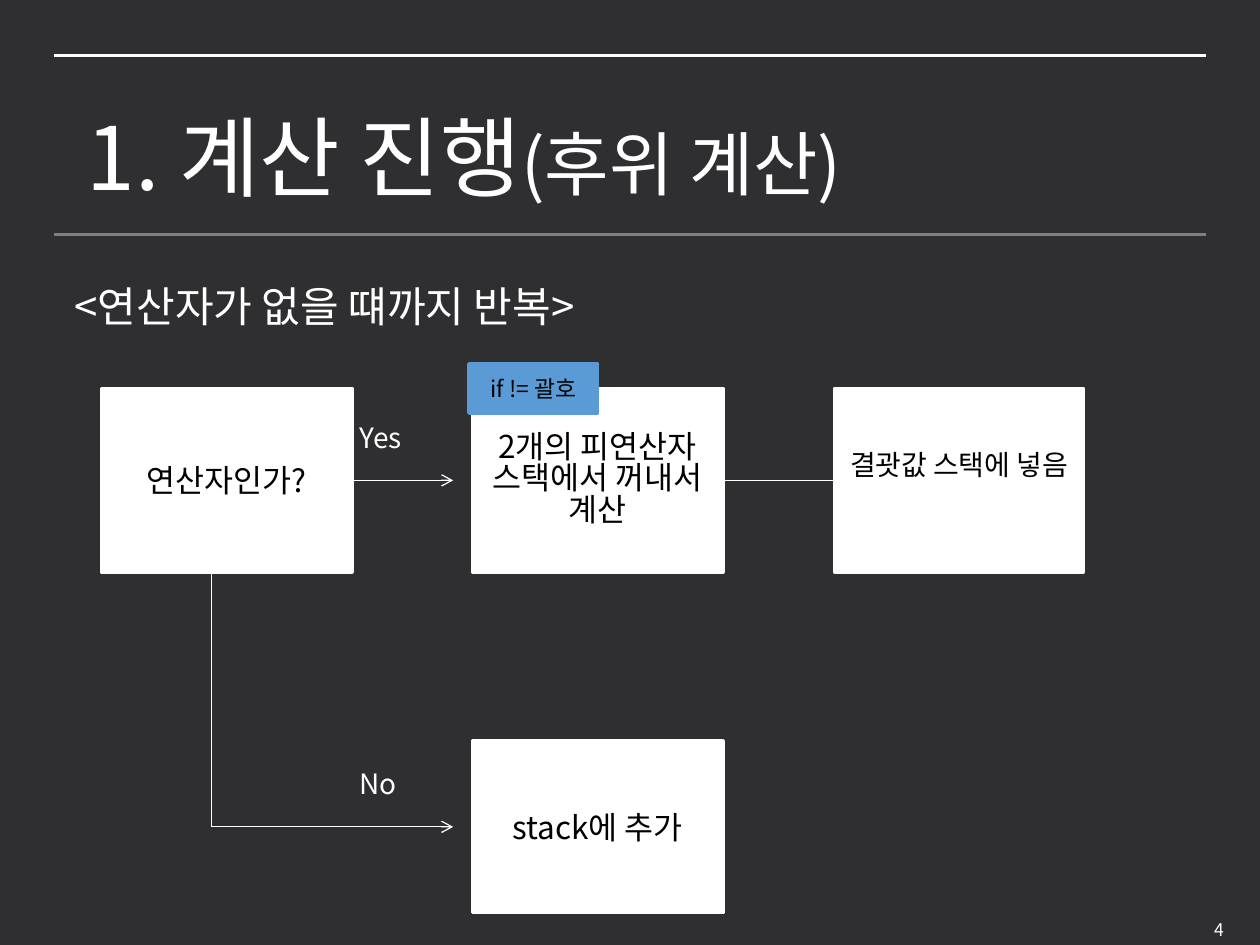
from pptx import Presentation
from pptx.dml.color import RGBColor
from pptx.enum.shapes import MSO_CONNECTOR as LINK, MSO_SHAPE as SHAPE
from pptx.enum.text import MSO_ANCHOR as ANCHOR, PP_ALIGN as ALIGN
from pptx.oxml.ns import qn
from pptx.util import Pt
from lxml.etree import SubElement

FONT = "Noto Sans CJK KR"
WHITE, BLACK, DARK, GRAY, BLUE = "FFFFFF", "000000", "2F2F31", "808080", "5B9BD5"


def paint(target, color):
    if hasattr(target, "solid"):
        target.solid()
        target = target.fore_color
    target.rgb = RGBColor.from_string(color)


def write(paragraph, text, size, color):
    run = paragraph.add_run()
    run.text = text
    run.font.size = Pt(size)
    run.font.name = FONT
    paint(run.font.color, color)
    east_asian = SubElement(run._r.get_or_add_rPr(), qn("a:ea"))
    east_asian.set("typeface", FONT)


def add_label(slide, box, *runs):
    label = slide.shapes.add_textbox(*map(Pt, box))
    label.text_frame.word_wrap = True
    for text, size in runs:
        write(label.text_frame.paragraphs[0], text, size, WHITE)


def add_step(slide, box, text, size, fill=WHITE, bottom=3.6, spacing=None):
    step = slide.shapes.add_shape(SHAPE.FLOWCHART_PROCESS, *map(Pt, box))
    step.shadow.inherit = False
    paint(step.fill, fill)
    paint(step.line.color, fill)
    step.line.width = Pt(2)
    frame = step.text_frame
    frame.word_wrap = True
    frame.vertical_anchor = ANCHOR.MIDDLE
    frame.margin_bottom = Pt(bottom)
    paragraph = frame.paragraphs[0]
    paragraph.alignment = ALIGN.CENTER
    paragraph.line_spacing = spacing
    write(paragraph, text, size, BLACK)


def add_link(slide, start, end, color=WHITE, width=0.75, arrow=False):
    link = slide.shapes.add_connector(LINK.STRAIGHT, *map(Pt, start + end))
    paint(link.line.color, color)
    link.line.width = Pt(width)
    if arrow:
        tail = SubElement(link.line._get_or_add_ln(), qn("a:tailEnd"))
        tail.set("type", "arrow")
    SubElement(link._element.spPr, qn("a:effectLst"))


def add_header(slide, box):
    left, top, width, height = box
    right, bottom = left + width, top + height
    add_link(slide, (left, bottom), (right, bottom), GRAY, 1.5)
    add_link(slide, (left, top), (right, top), WHITE, 1.5)
    add_label(slide, (left + 11.5, top + 23.5, 577, 67),
              ("1. 계산 진행", 50), ("(후위 계산)", 40))


def add_flow(slide, box):
    left, top, width, height = box
    step_width, step_height, stack_height = 143, 105, 98
    compute_left, result_left = left + 212, left + 419
    stack_top = top + height - stack_height
    yes_y, no_y = top + step_height / 2, stack_top + stack_height / 2
    branch_x, arrow_x, answer_x = left + 63, left + 201, left + 140.5

    add_step(slide, (left, top, step_width, step_height), "연산자인가?", 18)
    add_step(slide, (compute_left, stack_top, step_width, stack_height),
             "stack에 추가", 18)
    add_step(slide, (compute_left, top, step_width, step_height),
             "2개의 피연산자 스택에서 꺼내서 계산", 18, spacing=0.83)
    add_step(slide, (result_left, top, width - 419, step_height),
             "결괏값 스택에 넣음", 16, bottom=22)
    add_step(slide, (compute_left - 2, top - 14, 73.5, 28),
             "if != 괄호", 13, BLUE)

    add_link(slide, (left + step_width, yes_y), (arrow_x, yes_y), arrow=True)
    add_link(slide, (branch_x, top + step_height), (branch_x, no_y))
    add_link(slide, (branch_x, no_y), (arrow_x, no_y), arrow=True)
    add_link(slide, (compute_left + step_width, yes_y), (result_left, yes_y))
    for answer, line_y in (("Yes", yes_y), ("No", no_y)):
        add_label(slide, (answer_x, line_y - 38, 43, 27), (answer, 16))


def main():
    deck = Presentation()
    deck.slide_width, deck.slide_height = Pt(720), Pt(540)
    slide = deck.slides.add_slide(deck.slide_layouts[6])
    paint(slide.background.fill, DARK)
    add_header(slide, (31, 31.75, 658, 102.25))
    add_label(slide, (35.5, 157, 370, 35), ("<연산자가 없을 떄까지 반복>", 24))
    add_flow(slide, (58, 222, 561, 299.5))
    add_label(slide, (687, 521.5, 32, 18.5), ("4", 10))
    deck.save("out.pptx")


if __name__ == "__main__":
    main()
